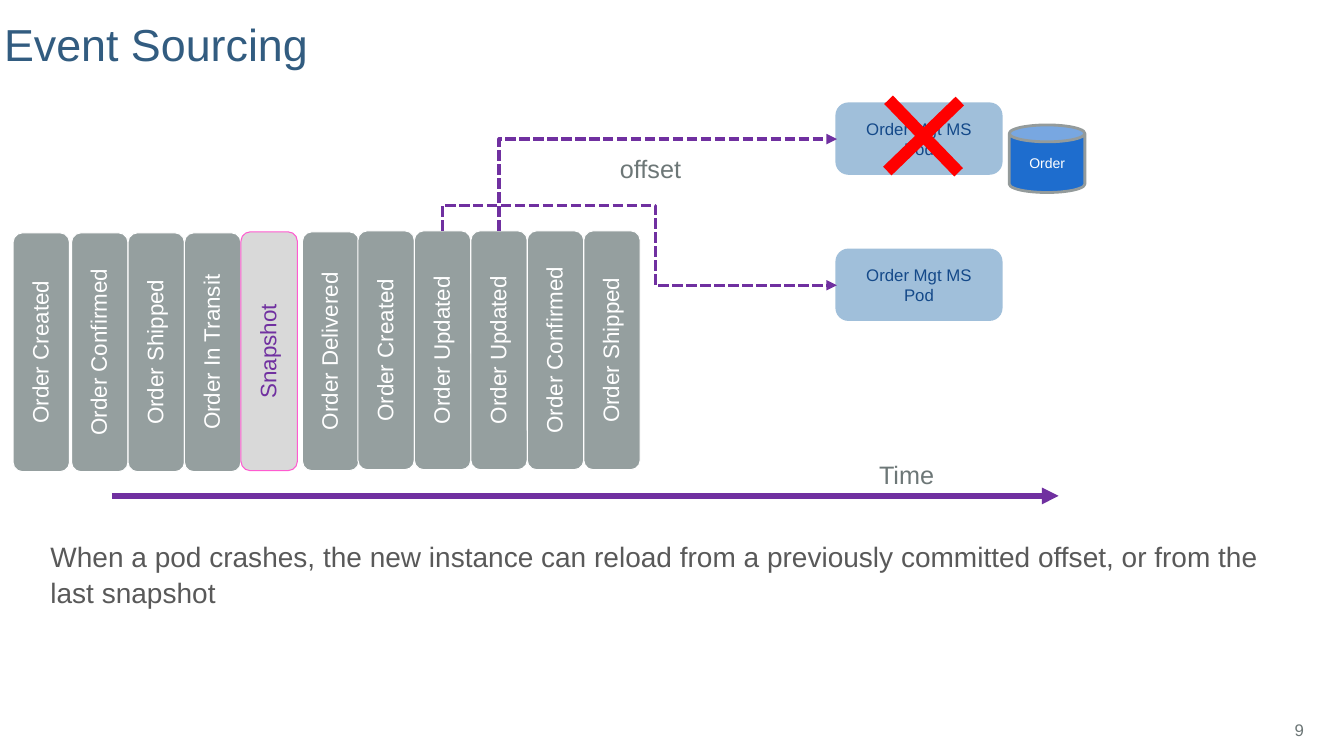
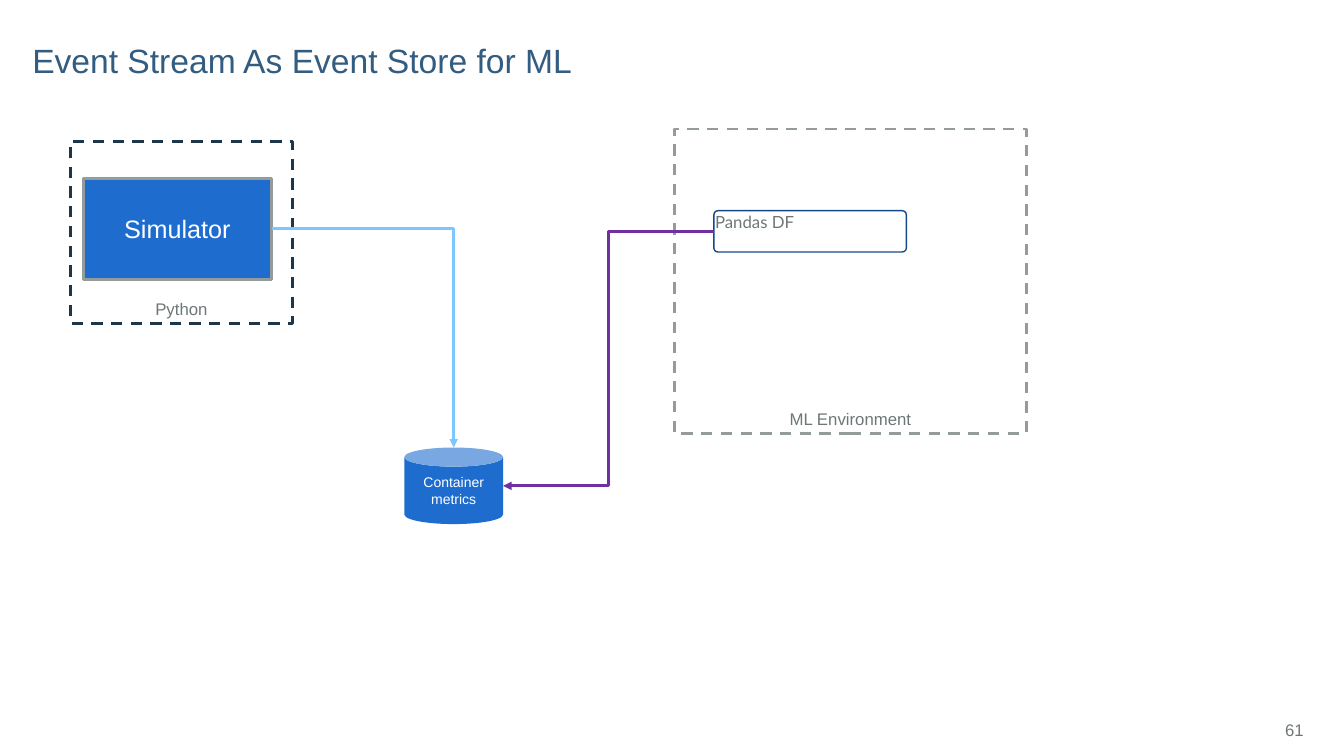
from math import cos, radians, sin

from lxml.etree import SubElement
from pptx import Presentation
from pptx.dml.color import RGBColor
from pptx.enum.dml import MSO_LINE
from pptx.enum.shapes import MSO_CONNECTOR, MSO_SHAPE
from pptx.enum.text import MSO_ANCHOR, MSO_AUTO_SIZE, PP_ALIGN
from pptx.oxml.ns import qn
from pptx.util import Inches, Pt

NAVY = RGBColor(0x32, 0x5C, 0x80)
INK = RGBColor(0x14, 0x49, 0x89)
BLUE = RGBColor(0x1E, 0x6D, 0xCE)
PALE = RGBColor(0xA0, 0xBF, 0xDA)
SKY = RGBColor(0x7C, 0xC7, 0xFF)
DARK = RGBColor(0x1D, 0x36, 0x49)
TEXT = RGBColor(0x59, 0x59, 0x59)
LABEL = RGBColor(0x6D, 0x77, 0x77)
GRAY = RGBColor(0x94, 0x9B, 0x9B)
CARD = RGBColor(0x95, 0x9F, 0x9F)
LIGHT = RGBColor(0xD9, 0xD9, 0xD9)
PINK = RGBColor(0xFF, 0x5B, 0xD0)
PURPLE = RGBColor(0x70, 0x30, 0xA0)
RED = RGBColor(0xFF, 0x00, 0x00)
WHITE = RGBColor(0xFF, 0xFF, 0xFF)

# Content: event cards run left to right in groups of (left, top, names)
EVENTS = [
    (0.13, 2.31, ["Order Created"]),
    (0.71, 2.31, ["Order Confirmed", "Order Shipped", "Order In Transit"]),
    (2.39, 2.3, ["Snapshot"]),
    (3, 2.3, ["Order Delivered"]),
    (3.55, 2.29, ["Order Created", "Order Updated", "Order Updated",
                  "Order Confirmed", "Order Shipped"]),
]
CARD_W, CARD_H = 0.56, 2.37
PODS = [(1.03, "Order Mgt MS Pod"), (2.48, "Order Mgt MS\nPod")]
LABELS = [(8.62, 4.51, 0.75, "Time"), (6.05, 1.47, 0.81, "offset")]
RECOVERY = ("When a pod crashes, the new instance can reload from a previously "
            "committed offset, or from the last snapshot")
ZONES = [((6.69, 1.28, 3.49, 3.02), GRAY, "ML Environment"),
         ((0.7, 1.4, 2.2, 1.81), DARK, "Python")]


# Shared helpers
def write(tf, text, size, color, align=PP_ALIGN.LEFT, font="Arial", spacing=None):
    tf.text = text
    for p in tf.paragraphs:
        p.alignment = align
        p.space_before = Pt(0)
        if spacing:
            p.line_spacing = spacing
        for r in p.runs:
            r.font.name, r.font.size, r.font.color.rgb = font, Pt(size), color


def insets(tf, left, top, right, bottom):
    tf.margin_left, tf.margin_top = Inches(left), Inches(top)
    tf.margin_right, tf.margin_bottom = Inches(right), Inches(bottom)


def place(sp, *box):
    sp.left, sp.top, sp.width, sp.height = (Inches(v) for v in box)


def add_text(s, box, text, size, align=PP_ALIGN.LEFT, wrap=False,
             anchor=MSO_ANCHOR.TOP):
    tf = s.shapes.add_textbox(*(Inches(v) for v in box)).text_frame
    tf.word_wrap, tf.vertical_anchor = wrap, anchor
    write(tf, text, size, LABEL, align)


def add_block(s, kind, box, fill=None, line=None, width=2, dash=None):
    sp = s.shapes.add_shape(kind, *(Inches(v) for v in box))
    sp.shadow.inherit = False
    if fill is None:
        sp.fill.background()
    else:
        sp.fill.solid()
        sp.fill.fore_color.rgb = fill
    if line is None:
        sp.line.fill.background()
    else:
        sp.line.color.rgb, sp.line.width = line, Pt(width)
        if dash:
            sp.line.dash_style = dash
    sp.text_frame.word_wrap = True
    sp.text_frame.vertical_anchor = MSO_ANCHOR.MIDDLE
    return sp


def add_arrow(s, start, end, color, width, preset="line", turn=0, adjust=(), dash=None):
    """Arrow from start to end; its frame is turned by the given degrees."""
    cx, cy = ((a + b) / 2 for a, b in zip(start, end))
    dx, dy = start[0] - cx, start[1] - cy
    c, n = cos(radians(turn)), sin(radians(turn))
    ux, uy = dx * c + dy * n, dy * c - dx * n
    kind = MSO_CONNECTOR.STRAIGHT if preset == "line" else MSO_CONNECTOR.ELBOW
    cn = s.shapes.add_connector(kind, Inches(cx + ux), Inches(cy + uy),
                                Inches(cx - ux), Inches(cy - uy))
    cn.line.color.rgb, cn.line.width = color, Pt(width)
    if dash:
        cn.line.dash_style = dash
    SubElement(cn.line._get_or_add_ln(), qn("a:tailEnd"), type="triangle")
    pr = cn._element.spPr
    SubElement(pr, qn("a:effectLst"))
    if turn:
        pr.find(qn("a:xfrm")).set("rot", str(turn * 60000))
    geom = pr.find(qn("a:prstGeom"))
    geom.set("prst", preset)
    for i, value in enumerate(adjust, 1):
        SubElement(geom.find(qn("a:avLst")), qn("a:gd"), name=f"adj{i}",
                   fmla=f"val {round(value * 100000)}")


def add_slide(prs, layout, title, box, size, number):
    s = prs.slides.add_slide(prs.slide_layouts[layout])
    place(s.shapes.title, *box)
    tf = s.shapes.title.text_frame
    tf.auto_size, tf.vertical_anchor = MSO_AUTO_SIZE.NONE, MSO_ANCHOR.BOTTOM
    insets(tf, 0, 0.05, 0.1, 0)
    write(tf, title, size, NAVY, spacing=0.85)
    add_text(s, (12.45, 7.04, 0.58, 0.4), number, 12, PP_ALIGN.RIGHT, True,
             MSO_ANCHOR.MIDDLE)
    return s


def build_sourcing(prs):
    s = add_slide(prs, 1, "Event Sourcing", (0.04, 0.12, 11.91, 0.58), 32, "9")

    # Explanation
    body = s.placeholders[1]
    place(body, 0.5, 5.29, 12.24, 1.24)
    tf = body.text_frame
    tf.auto_size = MSO_AUTO_SIZE.NONE
    insets(tf, 0, 0.05, 0.1, 0.05)
    write(tf, RECOVERY, 20, TEXT, spacing=1.05)
    pPr = tf.paragraphs[0]._p.get_or_add_pPr()
    pPr.set("marL", "0")
    pPr.set("indent", "0")
    SubElement(pPr, qn("a:buNone"))

    # Event log
    for left, top, names in EVENTS:
        for i, name in enumerate(names):
            fill, line, ink = ((LIGHT, PINK, PURPLE) if name == "Snapshot"
                               else (CARD, WHITE, WHITE))
            sp = add_block(s, MSO_SHAPE.ROUNDED_RECTANGLE,
                           (left + i * CARD_W, top, CARD_W, CARD_H), fill, line, 0.75)
            tf = sp.text_frame
            insets(tf, 0, 0, 0, 0)
            tf._txBody.bodyPr.set("vert", "vert270")
            write(tf, name, 16, ink, PP_ALIGN.CENTER, spacing=0.9)
    add_arrow(s, (1.11, 4.92), (10.5, 4.92), PURPLE, 4)
    for left, top, width, label in LABELS:
        add_text(s, (left, top, width, 0.4), label, 18)

    # Pods and their store
    for top, name in PODS:
        pod = add_block(s, MSO_SHAPE.ROUNDED_RECTANGLE, (8.3, top, 1.63, 0.69), PALE, PALE)
        write(pod.text_frame, name, 12, INK, PP_ALIGN.CENTER)
    store = add_block(s, MSO_SHAPE.CAN, (10.01, 1.24, 0.75, 0.67), BLUE, GRAY)
    write(store.text_frame, "Order", 10, WHITE, PP_ALIGN.CENTER)
    cross = add_block(s, MSO_SHAPE.CROSS, (8.66, 0.85, 1, 1), RED)
    cross.rotation, cross.adjustments[0] = 46, 0.44

    # Offsets read by each pod
    add_arrow(s, (4.95, 2.29), (8.3, 1.38), PURPLE, 2.5, "bentConnector2", 90,
              dash=MSO_LINE.SQUARE_DOT)
    add_arrow(s, (4.39, 2.29), (8.3, 2.83), PURPLE, 2.5, "bentConnector4", 270,
              (-0.47, 0.54), MSO_LINE.SQUARE_DOT)


def build_store(prs):
    s = add_slide(prs, 5, "Event Stream As Event Store for ML",
                  (0.32, 0.23, 11.5, 0.57), 24, "61")

    # Environments
    for box, color, name in ZONES:
        zone = add_block(s, MSO_SHAPE.RECTANGLE, box, line=color, dash=MSO_LINE.DASH)
        zone.text_frame.vertical_anchor = MSO_ANCHOR.BOTTOM
        write(zone.text_frame, name, 12, LABEL, PP_ALIGN.CENTER)

    # Producer, store and consumer
    sim = add_block(s, MSO_SHAPE.RECTANGLE, (0.83, 1.77, 1.86, 1), BLUE, GRAY)
    write(sim.text_frame, "Simulator", 18, WHITE, PP_ALIGN.CENTER)
    metrics = add_block(s, MSO_SHAPE.CAN, (4.01, 4.44, 0.98, 0.76), BLUE)
    write(metrics.text_frame, "Container metrics", 10, WHITE, PP_ALIGN.CENTER)
    frame = add_block(s, MSO_SHAPE.ROUNDED_RECTANGLE, (7.08, 2.09, 1.91, 0.41),
                      line=INK, width=1)
    frame.adjustments[0] = 0.1
    insets(frame.text_frame, 0, 0, 0, 0)
    frame.text_frame.vertical_anchor = MSO_ANCHOR.TOP
    write(frame.text_frame, "Pandas DF", 12, LABEL, font="Lato")

    # Flows into the store
    add_arrow(s, (2.7, 2.27), (4.5, 4.44), SKY, 2, "bentConnector2")
    add_arrow(s, (7.08, 2.3), (4.99, 4.82), PURPLE, 2, "bentConnector3", 180, (0.5,))


def main():
    prs = Presentation()
    prs.slide_width, prs.slide_height = Inches(13.33), Inches(7.5)
    build_sourcing(prs)
    build_store(prs)
    prs.save("out.pptx")


if __name__ == "__main__":
    main()
